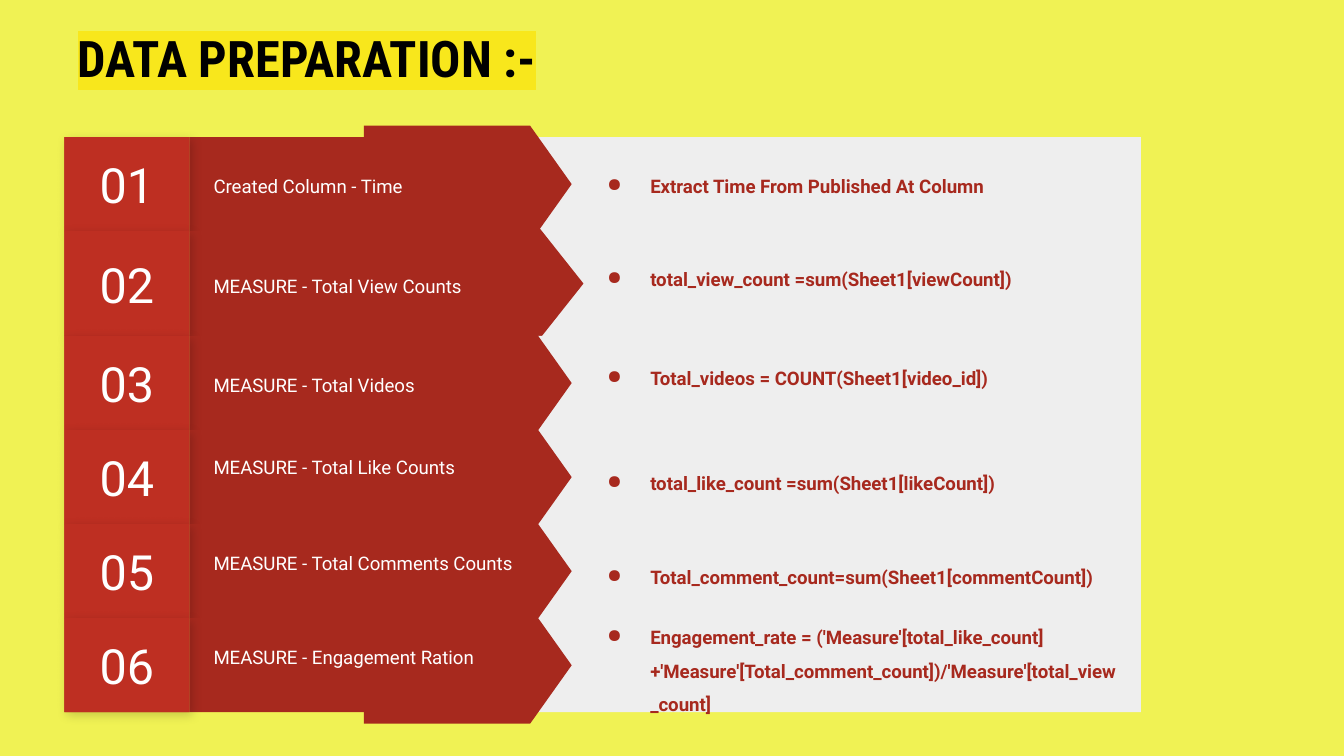
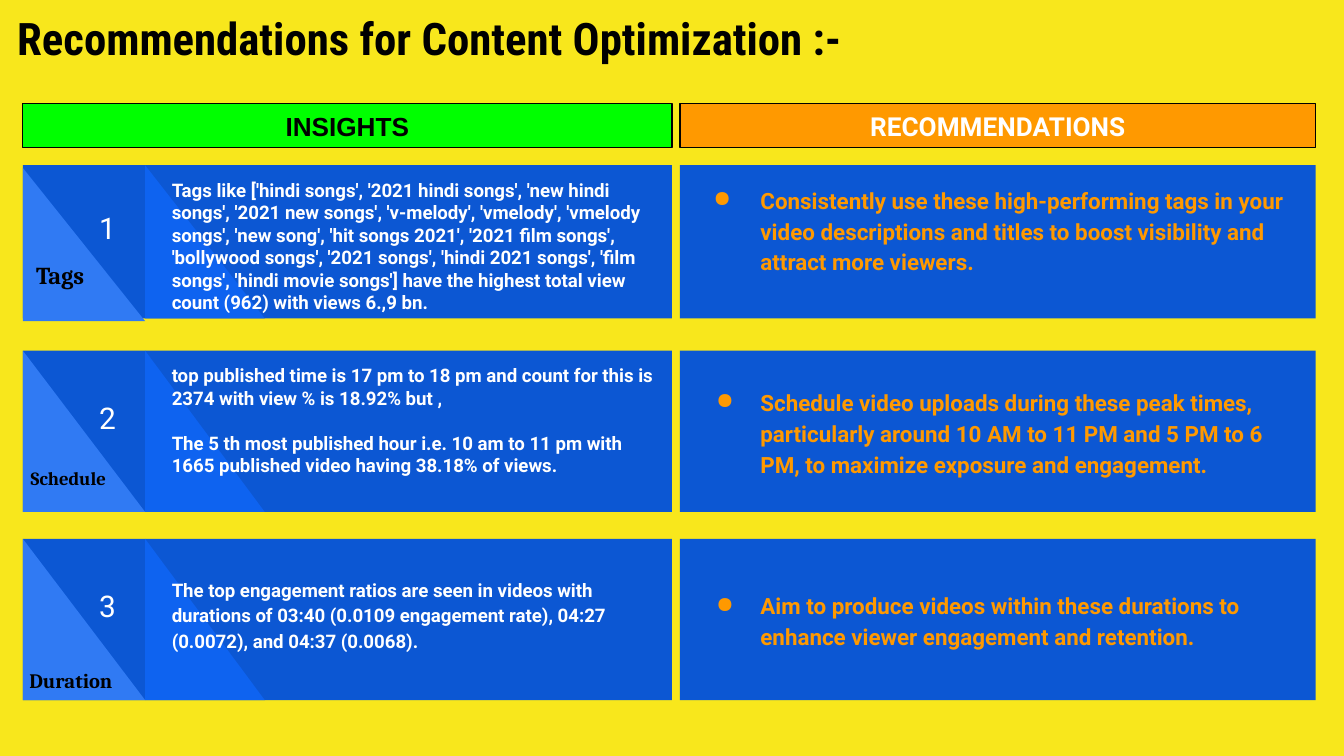
from dataclasses import dataclass

import pptx
import pptx.util
import pptx.dml.color
import pptx.enum.shapes
import pptx.enum.text
import pptx.oxml.ns
from lxml import etree

SHAPE = pptx.enum.shapes.MSO_SHAPE
ANCHOR = pptx.enum.text.MSO_ANCHOR
ALIGN = pptx.enum.text.PP_ALIGN
COLUMNS = 100
SLIDE_W = pptx.util.Inches(10)
SLIDE_H = pptx.util.Inches(5.625)
UNIT = SLIDE_W / COLUMNS


@dataclass(frozen=True)
class Theme:
    lime: str = "F0F254"
    yellow: str = "F8E71C"
    black: str = "000000"
    white: str = "FFFFFF"
    gray: str = "EEEEEE"
    red: str = "A7291E"
    red_edge: str = "B02B20"
    red_light: str = "BE2F22"
    green: str = "00FF00"
    orange: str = "FF9900"
    blue: str = "0C57D3"
    blue_mid: str = "0E63F0"
    blue_light: str = "307AF3"
    body_font: str = "Roboto"
    title_font: str = "Roboto Condensed"
    tag_font: str = "Cambria"
    header_font: str = "Arial"
    body: int = 10
    advice: int = 12
    header: int = 14
    index: int = 16
    number: int = 26


T = Theme()


def rgb(color):
    return pptx.dml.color.RGBColor.from_string(color)


def grid(*cells):
    return [round(c * UNIT) for c in cells]


def sub(parent, tag, **attrs):
    return etree.SubElement(parent, pptx.oxml.ns.qn(tag), {k: str(v) for k, v in attrs.items()})


def add_slide(prs, background):
    slide = prs.slides.add_slide(prs.slide_layouts[6])
    slide.background.fill.solid()
    slide.background.fill.fore_color.rgb = rgb(background)
    return slide


def add_block(slide, box, fill, kind=SHAPE.RECTANGLE, outline=None):
    sp = slide.shapes.add_shape(kind, *grid(*box))
    sp.shadow.inherit = False
    sp.fill.solid()
    sp.fill.fore_color.rgb = rgb(fill)
    if outline:
        sp.line.color.rgb = rgb(outline)
        sp.line.width = pptx.util.Pt(0.75)
    else:
        sp.line.fill.background()
    return sp


def add_shadow(sp):
    effects = sp._element.spPr.find(pptx.oxml.ns.qn("a:effectLst"))
    shadow = sub(effects, "a:outerShdw", blurRad=pptx.util.Pt(5.6), dist=pptx.util.Pt(2.2),
                 dir=45 * 60000, algn="bl", rotWithShape=0)
    sub(sub(shadow, "a:srgbClr", val=T.black), "a:alpha", val=17000)


def add_bullet(p, color, hang):
    pPr = p._p.get_or_add_pPr()
    pPr.set("marL", str(pptx.util.Inches(0.5)))
    pPr.set("indent", str(-pptx.util.Inches(hang)))
    sub(sub(pPr, "a:buClr"), "a:srgbClr", val=color)
    sub(pPr, "a:buChar", char="●")


def write(sp, text, size, color, font=T.body_font, bold=False, align=ALIGN.LEFT,
          anchor=ANCHOR.MIDDLE, spacing=1.0, hang=None, lift=0, gap=0):
    tf = sp.text_frame
    tf.word_wrap = True
    tf.vertical_anchor = anchor
    tf.margin_left = tf.margin_right = tf.margin_top = pptx.util.Inches(0.1)
    tf.margin_bottom = pptx.util.Inches(0.1 + lift)
    for i, line in enumerate(text.split("\n")):
        p = tf.add_paragraph() if i else tf.paragraphs[0]
        p.add_run().text = line
        if hang:
            add_bullet(p, color, hang)
        p.alignment = align
        p.line_spacing = spacing
        if i:
            p.space_before = pptx.util.Pt(gap)
        p.font.size = pptx.util.Pt(size)
        p.font.name = font
        p.font.bold = bold
        p.font.color.rgb = rgb(color)


def add_text(slide, box, *args, **style):
    sp = slide.shapes.add_textbox(*grid(*box))
    write(sp, *args, **style)
    return sp


def add_title(slide, box, text, size):
    sp = add_text(slide, box, text, size, T.black, font=T.title_font, bold=True, anchor=ANCHOR.TOP)
    rPr = sp.text_frame.paragraphs[0].runs[0]._r.get_or_add_rPr()
    sub(sub(rPr, "a:highlight"), "a:srgbClr", val=T.yellow)


@dataclass
class Step:
    label: str
    formula: str
    height: float = 7
    label_anchor: ANCHOR = ANCHOR.MIDDLE
    label_lift: float = 0
    formula_lift: float = 0
    formula_spacing: float = 1.5


STEPS = [
    Step("Created Column - Time", "Extract Time From Published At Column", formula_spacing=1.15),
    Step("MEASURE - Total View Counts", "total_view_count =sum(Sheet1[viewCount])",
         height=7.8, formula_lift=0.15),
    Step("MEASURE - Total Videos", "Total_videos = COUNT(Sheet1[video_id])", formula_lift=0.15),
    Step("MEASURE - Total Like Counts", "total_like_count =sum(Sheet1[likeCount])",
         label_lift=0.19),
    Step("MEASURE - Total Comments Counts", "Total_comment_count=sum(Sheet1[commentCount])",
         label_anchor=ANCHOR.TOP),
    Step("MEASURE - Engagement Ration",
         "Engagement_rate = ('Measure'[total_like_count]+'Measure'[Total_comment_count])"
         "/'Measure'[total_view_count]", label_anchor=ANCHOR.TOP),
]


def add_step(slide, number, step, top):
    h = step.height
    add_block(slide, (33.5, top, 51.4, h), T.gray)
    add_block(slide, (14.1, top, 24.8, h), T.red)
    thick, length = 8.7, 2.21 * h
    arrow = add_block(slide, (34.8 - thick / 2, top + h / 2 - length / 2, thick, length),
                      T.red, SHAPE.FLOWCHART_OFFPAGE_CONNECTOR)
    arrow.rotation = 270
    add_text(slide, (14.9, top + 0.85, 26.1, h - 1.6), step.label, T.body, T.white,
             anchor=step.label_anchor, spacing=1.15, lift=step.label_lift)
    tile = (4.8, top, 9.3, h)
    add_shadow(add_block(slide, tile, T.red_edge))
    write(add_block(slide, tile, T.red_light), f"{number:02}", T.number, T.white,
          align=ALIGN.CENTER)
    add_text(slide, (42.4, top, 41.6, h), step.formula, T.body, T.red, bold=True,
             spacing=step.formula_spacing, hang=0.32, lift=step.formula_lift)


def build_preparation(prs):
    slide = add_slide(prs, T.lime)
    add_title(slide, (4.8, 1, 63.4, 6.3), "DATA PREPARATION :-", 27)
    top = 10.2
    for number, step in enumerate(STEPS, 1):
        add_step(slide, number, step, top)
        top += step.height


@dataclass
class Finding:
    tag: str
    tag_size: int
    tag_at: tuple
    insight: str
    advice: str
    top: float
    height: float = 12
    triangle_drop: float = 0
    insight_drop: float = 0
    insight_spacing: float = 1.0
    advice_hang: float = 0.33
    advice_lift: float = 0


FINDINGS = [
    Finding("Tags", 13, (1.7, 18.4),
            "Tags like ['hindi songs', '2021 hindi songs', 'new hindi songs', '2021 new songs', "
            "'v-melody', 'vmelody', 'vmelody songs', 'new song', 'hit songs 2021', "
            "'2021 film songs', 'bollywood songs', '2021 songs', 'hindi 2021 songs', "
            "'film songs', 'hindi movie songs'] have the highest total view count (962) "
            "with views 6.,9 bn.",
            "Consistently use these high-performing tags in your video descriptions and titles "
            "to boost visibility and attract more viewers.",
            12.3, height=11.4, triangle_drop=0.2, advice_hang=0.35, advice_lift=0.19),
    Finding("Schedule", 10, (1.3, 33.9),
            "top published time is 17 pm to 18 pm and count for this is 2374 with view % is "
            "18.92% but ,\nThe 5 th most published hour i.e. 10 am to 11 pm with 1665 published "
            "video having 38.18% of views.",
            "Schedule video uploads during these peak times, particularly around 10 AM to 11 PM "
            "and 5 PM to 6 PM, to maximize exposure and engagement.", 26.1),
    Finding("Duration", 11, (1.2, 48.8),
            "The top engagement ratios are seen in videos with durations of 03:40 (0.0109 "
            "engagement rate), 04:27 (0.0072), and 04:37 (0.0068).",
            "Aim to produce videos within these durations to enhance viewer engagement and "
            "retention.", 40.1, insight_drop=1.7, insight_spacing=1.15),
]
INSIGHT_X, INSIGHT_W = 1.7, 48.3
ADVICE_X, ADVICE_W = 50.6, 47.3


def add_header(slide, x, w, text, fill, color, font):
    sp = add_block(slide, (x, 7.7, w, 3.3), fill, outline=T.black)
    write(sp, text, T.header, color, font=font, bold=True, align=ALIGN.CENTER)


def add_finding(slide, number, f):
    top, h = f.top, f.height
    advice = add_block(slide, (ADVICE_X, top, ADVICE_W, h), T.blue)
    write(advice, f.advice, T.advice, T.orange, bold=True, spacing=1.15,
          hang=f.advice_hang, lift=f.advice_lift)
    add_block(slide, (INSIGHT_X, top, INSIGHT_W, h), T.blue)
    add_block(slide, (10.8, top, 8.9, h), T.blue_mid, SHAPE.RIGHT_TRIANGLE)
    add_block(slide, (INSIGHT_X, top + f.triangle_drop, 9.1, h), T.blue_light,
              SHAPE.RIGHT_TRIANGLE)
    add_text(slide, (5.2, top, 5.6, 0.61 * h), str(number), T.index, T.white,
             align=ALIGN.CENTER, anchor=ANCHOR.BOTTOM)
    add_text(slide, (11.8, top + f.insight_drop, 38, h - f.insight_drop), f.insight, T.body,
             T.white, bold=True, anchor=ANCHOR.TOP, spacing=f.insight_spacing, gap=12)
    add_text(slide, (*f.tag_at, 9, 3.3), f.tag, f.tag_size, T.black, font=T.tag_font,
             bold=True, anchor=ANCHOR.TOP)


def build_recommendations(prs):
    slide = add_slide(prs, T.yellow)
    add_title(slide, (0.3, -0.2, 73.4, 6.3), "Recommendations for Content Optimization :-", 24)
    add_header(slide, ADVICE_X, ADVICE_W, "RECOMMENDATIONS", T.orange, T.white, T.body_font)
    add_header(slide, INSIGHT_X, INSIGHT_W, "INSIGHTS", T.green, T.black, T.header_font)
    for number, finding in enumerate(FINDINGS, 1):
        add_finding(slide, number, finding)


def main():
    prs = pptx.Presentation()
    prs.slide_width, prs.slide_height = SLIDE_W, SLIDE_H
    build_preparation(prs)
    build_recommendations(prs)
    prs.save("out.pptx")


if __name__ == "__main__":
    main()
